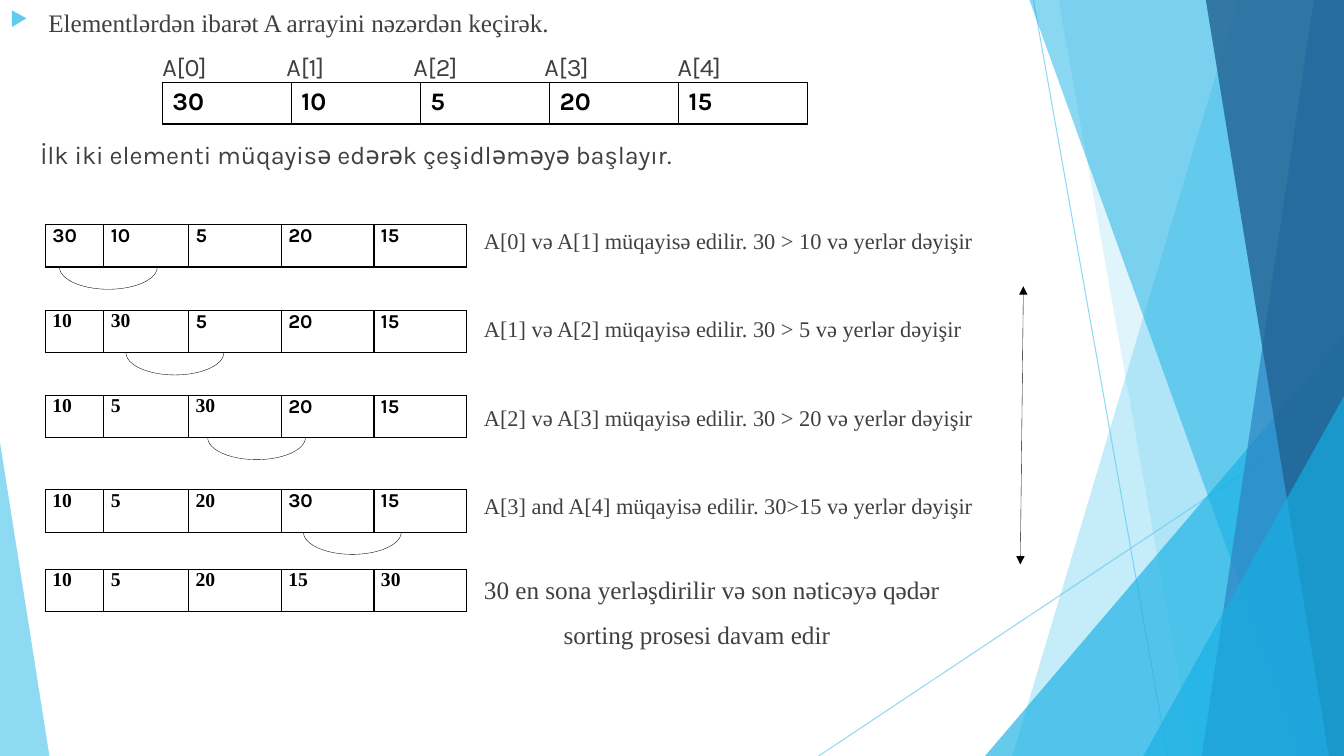
from lxml import etree
from pptx import Presentation
from pptx.dml.color import RGBColor
from pptx.enum.shapes import MSO_CONNECTOR, MSO_SHAPE
from pptx.enum.text import MSO_ANCHOR
from pptx.oxml.ns import qn
from pptx.util import Inches, Pt

STRAIGHT = MSO_CONNECTOR.STRAIGHT
ARC = MSO_SHAPE.ARC
TRIANGLE = MSO_SHAPE.ISOSCELES_TRIANGLE
MIDDLE = MSO_ANCHOR.MIDDLE

BLACK = RGBColor(0x00, 0x00, 0x00)
WHITE = RGBColor(0xFF, 0xFF, 0xFF)
GREY = RGBColor(0x40, 0x40, 0x40)
SKY = RGBColor(0x5F, 0xCB, 0xEF)
AZURE = RGBColor(0x17, 0xB0, 0xE4)
BLUE = RGBColor(0x2E, 0x83, 0xC3)
NAVY = RGBColor(0x22, 0x62, 0x92)

KARLA = "Karla"
TIMES = "Times New Roman"
RIGHT, BOTTOM = 13.33, 7.5


def add_xml(parent, tag, **attributes):
    return etree.SubElement(parent, qn(tag), attributes)


class SortSlide:
    """Draws the parts of the sorting slide in one shared style."""

    def __init__(self, slide):
        self.shapes = slide.shapes

    def fade(self, shape, opacity):
        color = next(shape.element.spPr.iter(qn("a:srgbClr")))
        add_xml(color, "a:alpha", val=str(opacity * 1000))

    def paint(self, shape, color, opacity):
        shape.shadow.inherit = False
        shape.fill.solid()
        shape.fill.fore_color.rgb = color
        shape.line.fill.background()
        self.fade(shape, opacity)

    def band(self, top_x, bottom_x, color, opacity):
        builder = self.shapes.build_freeform(Inches(top_x), 0)
        corners = [(RIGHT, 0), (RIGHT, BOTTOM), (bottom_x, BOTTOM)]
        builder.add_line_segments([(Inches(x), Inches(y)) for x, y in corners])
        self.paint(builder.convert_to_shape(), color, opacity)

    def corner(self, left, top, width, apex, color, opacity):
        triangle = self.shapes.add_shape(
            TRIANGLE, Inches(left), Inches(top), Inches(width), Inches(BOTTOM - top))
        triangle.adjustments[0] = apex
        self.paint(triangle, color, opacity)

    def line(self, start, end, color, width):
        line = self.shapes.add_connector(STRAIGHT, *map(Inches, start + end))
        line.line.color.rgb = color
        line.line.width = Pt(width)
        add_xml(line.element.spPr, "a:effectLst")
        return line

    def ray(self, start, end):
        self.fade(self.line(start, end, SKY, 0.75), 70)

    def double_arrow(self, start, end):
        arrow = self.line(start, end, BLACK, 0.25)
        outline = arrow.element.spPr.find(qn("a:ln"))
        for tag in ("a:headEnd", "a:tailEnd"):
            add_xml(outline, tag, type="triangle")

    def text(self, left, middle, width, words, font, size):
        box = self.shapes.add_textbox(
            Inches(left), Inches(middle - 0.2), Inches(width), Inches(0.4))
        frame = box.text_frame
        frame.word_wrap = True
        frame.vertical_anchor = MIDDLE
        frame.margin_left = frame.margin_right = 0
        frame.margin_top = frame.margin_bottom = 0
        paragraph = frame.paragraphs[0]
        self.run(paragraph, words, font, size, GREY)
        return paragraph

    def run(self, paragraph, words, font, size, color, bold=False):
        run = paragraph.add_run()
        run.text = words
        run.font.name = font
        run.font.size = Pt(size)
        run.font.bold = bold
        run.font.color.rgb = color

    def bullet(self, paragraph):
        properties = paragraph._p.get_or_add_pPr()
        properties.set("marL", str(Inches(0.38)))
        properties.set("indent", str(-Inches(0.38)))
        add_xml(add_xml(properties, "a:buClr"), "a:srgbClr", val=str(SKY))
        add_xml(properties, "a:buSzPct", val="80000")
        add_xml(properties, "a:buChar", char="▶")

    def array(self, left, top, widths, height, values, fonts, size, margins=None):
        frame = self.shapes.add_table(
            1, len(values), Inches(left), Inches(top), Inches(sum(widths)), Inches(height))
        table = frame.table
        table.first_row = table.horz_banding = False
        table.rows[0].height = Inches(height)
        for column, width in zip(table.columns, widths):
            column.width = Inches(width)
        for cell, value, font in zip(table.iter_cells(), values, fonts):
            if margins:
                cell.margin_left = cell.margin_right = Inches(margins[0])
                cell.margin_top = cell.margin_bottom = Inches(margins[1])
            self.run(cell.text_frame.paragraphs[0], str(value), font, size, BLACK, True)
            self.borders(cell)
            cell.fill.solid()
            cell.fill.fore_color.rgb = WHITE

    def borders(self, cell):
        properties = cell._tc.get_or_add_tcPr()
        for side in ("a:lnL", "a:lnR", "a:lnT", "a:lnB"):
            border = add_xml(properties, side, w=str(Pt(1)))
            add_xml(add_xml(border, "a:solidFill"), "a:srgbClr", val=str(BLACK))

    def swap_arc(self, left, top):
        arc = self.shapes.add_shape(
            ARC, Inches(left), Inches(top - 0.22), Inches(0.97), Inches(0.44))
        arc.adjustments[0] = 0
        arc.adjustments[1] = 108
        arc.shadow.inherit = False
        arc.fill.background()
        arc.line.color.rgb = BLACK
        arc.line.width = Pt(0.25)


def main():
    deck = Presentation()
    deck.slide_width, deck.slide_height = Inches(RIGHT), Inches(BOTTOM)
    page = SortSlide(deck.slides.add_slide(deck.slide_layouts[6]))

    page.ray((10.25, 0), (11.58, BOTTOM))
    page.ray((RIGHT, 4.03), (8.12, BOTTOM))
    page.band(12.28, 10.04, SKY, 36)
    page.band(10.5, 11.83, SKY, 20)
    page.corner(9.77, 3.33, 3.56, 1, AZURE, 66)
    page.band(10.21, 12.91, AZURE, 50)
    page.band(13.03, 11.92, BLUE, 70)
    page.band(11.96, 13.18, NAVY, 80)
    page.corner(11.34, 3.93, 1.99, 1, AZURE, 66)
    page.corner(0, 4.39, 0.49, 0, SKY, 70)

    intro = "Elementlərdən ibarət A arrayini nəzərdən keçirək."
    page.bullet(page.text(0.1, 0.22, 8, intro, TIMES, 18))
    for index, left in enumerate((1.61, 2.84, 4.1, 5.4, 6.72)):
        page.text(left, 0.66, 0.8, f"A[{index}]", KARLA, 18)
    page.array(1.61, 0.82, [1.28] * 5, 0.41, (30, 10, 5, 20, 15), [KARLA] * 5, 18)
    opening = "İlk iki elementi müqayisə edərək çeşidləməyə başlayır."
    page.text(0.4, 1.53, 8, opening, KARLA, 18)

    steps = [
        (2.23, (30, 10, 5, 20, 15), 0, 0.59, 2.39,
         "A[0] və A[1] müqayisə edilir. 30 > 10 və yerlər dəyişir", 16),
        (3.08, (10, 30, 5, 20, 15), 2, 1.25, 3.26,
         "A[1] və A[2] müqayisə edilir. 30 > 5 və yerlər dəyişir", 16),
        (3.92, (10, 5, 30, 20, 15), 3, 2.06, 4.14,
         "A[2] və A[3] müqayisə edilir. 30 > 20 və yerlər dəyişir", 16),
        (4.86, (10, 5, 20, 30, 15), 3, 3.01, 5.02,
         "A[3] and A[4] müqayisə edilir. 30>15 və yerlər dəyişir", 16),
        (5.65, (10, 5, 20, 15, 30), 5, None, 5.85,
         "30 en sona yerləşdirilir və son nəticəyə qədər", 18),
    ]
    step_widths = [0.58, 0.84, 0.92, 0.92, 0.92]
    for top, values, settled, arc_left, note_middle, note, size in steps:
        fonts = [TIMES] * settled + [KARLA] * (5 - settled)
        page.array(0.45, top, step_widths, 0.42, values, fonts, 14, (0.07, 0))
        if arc_left is not None:
            page.swap_arc(arc_left, top + 0.42)
        page.text(4.8, note_middle, 5.3, note, TIMES, size)
    page.text(5.59, 6.29, 4.5, "sorting prosesi davam edir", TIMES, 18)
    page.double_arrow((10.15, 2.84), (10.12, 5.6))

    deck.save("out.pptx")


if __name__ == "__main__":
    main()
